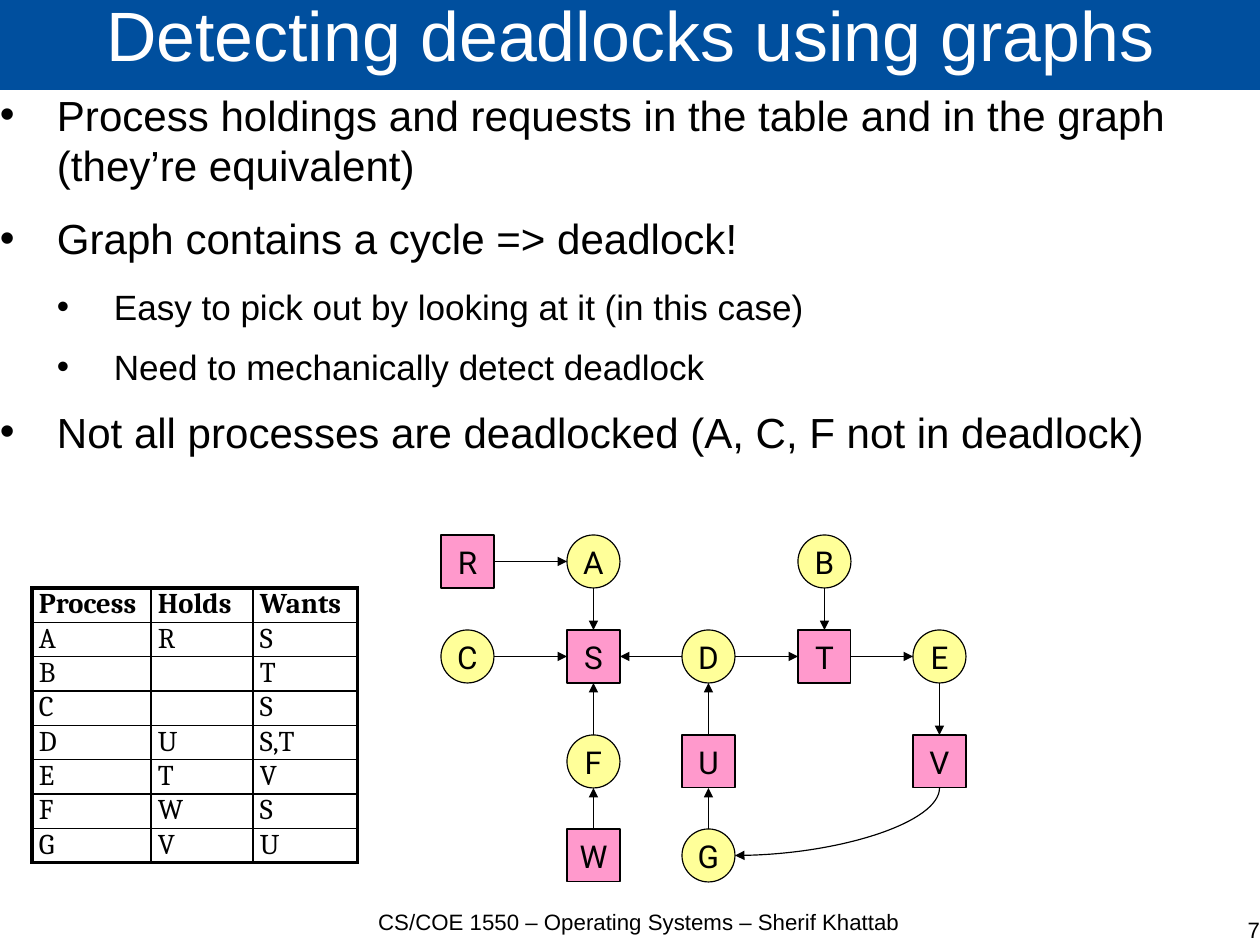
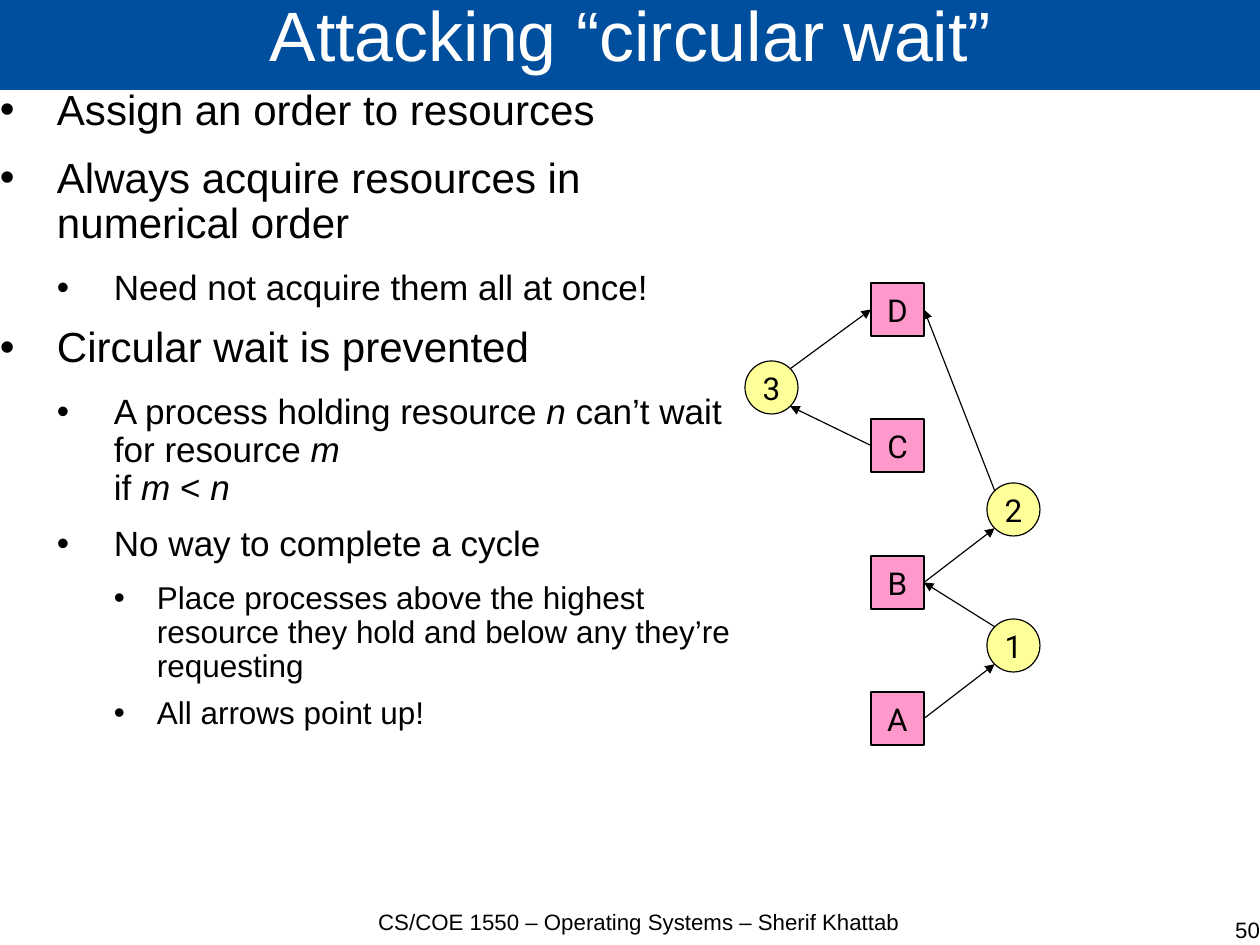
from math import sqrt

from lxml.etree import SubElement
from pptx import Presentation
from pptx.dml.color import RGBColor
from pptx.enum.shapes import MSO_CONNECTOR as CXN, MSO_SHAPE as SHAPE
from pptx.enum.text import MSO_ANCHOR as ANCHOR, MSO_AUTO_SIZE as AUTO, PP_ALIGN as ALIGN
from pptx.oxml.ns import qn
from pptx.util import Pt

# Shared look
PX = 8000  # EMU per px
BLUE = RGBColor(0x00, 0x4F, 0x9E)
WHITE = RGBColor(0xFF, 0xFF, 0xFF)
BLACK = RGBColor(0x00, 0x00, 0x00)
PINK = RGBColor(0xFF, 0x99, 0xCC)
YELLOW = RGBColor(0xFF, 0xFF, 0x99)
SANS, SERIF, NODE_FONT = "Arial", "Cambria", "Roboto"
TITLE_BOX = (0, -2, 1262, 92)
FOOTER_BOX = (351, 908, 576, 30)
NUMBER_BOX = (684, 916, 576, 29)
FOOTER = "CS/COE 1550 – Operating Systems – Sherif Khattab"

# Bullet levels: left margin px, hanging px, text pt, space after pt
LEVELS = [(57, 57, 26.5, 14.2), (114, 57, 22.1, 11.4), (157, 43, 19.8, 8.5)]

# Graph nodes: size, unit direction of each side, connection site of a rectangle
NODE = 53
SIDES = {"top": (0, -1), "left": (-1, 0), "bottom": (0, 1), "right": (1, 0),
         "top left": (-1, -1), "top right": (1, -1),
         "bottom left": (-1, 1), "bottom right": (1, 1)}
RECT_SITES = {"top": 0, "left": 1, "bottom": 2, "right": 3}
OVAL_SITES = {"top": 0, "left": 2, "bottom": 4, "right": 6}


def emu(*lengths):
    return [round(v * PX) for v in lengths]


def add_text(p, text, size, font=SANS, color=BLACK, bold=False, italic=False):
    r = p.add_run()
    r.text = text
    f = r.font
    f.name, f.size, f.bold, f.italic = font, Pt(size), bold, italic
    f.color.rgb = color


def clear_margins(tf):
    tf.margin_left = tf.margin_top = tf.margin_right = tf.margin_bottom = 0


def add_box(s, box):
    tf = s.shapes.add_textbox(*emu(*box)).text_frame
    tf.word_wrap = True
    clear_margins(tf)
    return tf


def add_title(s, box, text):
    sp = s.shapes.title
    sp.left, sp.top, sp.width, sp.height = emu(*box)
    sp.fill.solid()
    sp.fill.fore_color.rgb = BLUE
    tf = sp.text_frame
    tf.word_wrap, tf.auto_size = True, AUTO.NONE
    tf.vertical_anchor = ANCHOR.MIDDLE
    clear_margins(tf)
    p = tf.paragraphs[0]
    p.alignment, p.line_spacing = ALIGN.CENTER, 0.69
    add_text(p, text, 44, color=WHITE)


def add_footer(s, box, text, align):
    p = add_box(s, box).paragraphs[0]
    p.alignment = align
    add_text(p, text, 14)


def new_slide(prs, title, number):
    s = prs.slides.add_slide(prs.slide_layouts[5])
    add_title(s, TITLE_BOX, title)
    add_footer(s, FOOTER_BOX, FOOTER, ALIGN.CENTER)
    add_footer(s, NUMBER_BOX, str(number), ALIGN.RIGHT)
    return s


def add_bullets(s, box, items, spacing=1.0):
    """Items are (level, text); *stars* enclose italics, a newline breaks the line."""
    tf = add_box(s, box)
    for i, (level, text) in enumerate(items):
        p = tf.add_paragraph() if i else tf.paragraphs[0]
        margin, hang, size, after = LEVELS[level]
        p.level, p.line_spacing, p.space_after = level, spacing, Pt(after)
        pPr = p._p.get_or_add_pPr()
        pPr.set("marL", str(margin * PX))
        pPr.set("indent", str(-hang * PX))
        clr = SubElement(pPr, qn("a:buClr"))
        SubElement(clr, qn("a:srgbClr"), val=str(BLACK))
        SubElement(pPr, qn("a:buFont"), typeface=SANS)
        SubElement(pPr, qn("a:buChar"), char="•")
        for j, part in enumerate(text.split("*")):
            if part.startswith("\n"):
                p.add_line_break()
            if part.strip("\n"):
                add_text(p, part.strip("\n"), size, italic=j % 2 == 1)


def set_borders(cell, widths):
    tcPr = cell._tc.get_or_add_tcPr()
    for tag, width in zip(("a:lnL", "a:lnR", "a:lnT", "a:lnB"), widths):
        ln = SubElement(tcPr, qn(tag), w=str(Pt(width)))
        SubElement(SubElement(ln, qn("a:solidFill")), qn("a:srgbClr"), val=str(BLACK))


def add_table(s, box, col_widths, rows):
    """Plain grid with a thick outline and a bold first row."""
    n_rows, n_cols = len(rows), len(col_widths)
    tbl = s.shapes.add_table(n_rows, n_cols, *emu(*box)).table
    tbl.first_row = tbl.horz_banding = False
    for col, width in zip(tbl.columns, col_widths):
        col.width = width * PX
    for i, row in enumerate(rows):
        for j, text in enumerate(row):
            cell = tbl.cell(i, j)
            edges = (j == 0, j == n_cols - 1, i == 0, i == n_rows - 1)
            set_borders(cell, [2.25 if outer else 1 for outer in edges])
            cell.fill.background()
            cell.margin_left = cell.margin_right = 7 * PX
            cell.margin_top = cell.margin_bottom = 0
            if text:
                add_text(cell.text_frame.paragraphs[0], text, 18, SERIF, bold=i == 0)


def style_line(line):
    line.color.rgb = BLACK
    line.width = Pt(0.75)


def add_node(s, x, y, label, is_rect):
    kind = SHAPE.RECTANGLE if is_rect else SHAPE.OVAL
    sp = s.shapes.add_shape(kind, *emu(x, y, NODE, NODE))
    sp.shadow.inherit = False
    sp.fill.solid()
    sp.fill.fore_color.rgb = PINK if is_rect else YELLOW
    style_line(sp.line)
    tf = sp.text_frame
    tf.word_wrap, tf.vertical_anchor = False, ANCHOR.MIDDLE
    p = tf.paragraphs[0]
    p.alignment = ALIGN.CENTER
    add_text(p, label, 19.8, NODE_FONT)
    return sp


def is_rectangle(sp):
    return sp.auto_shape_type == SHAPE.RECTANGLE


def side_point(sp, side):
    dx, dy = SIDES[side]
    k = sqrt(0.5) if dx and dy and not is_rectangle(sp) else 1
    half = sp.width / 2
    return round(sp.left + half * (1 + k * dx)), round(sp.top + half * (1 + k * dy))


def style_arrow(c):
    style_line(c.line)
    SubElement(c.line._get_or_add_ln(), qn("a:tailEnd"), type="triangle")
    SubElement(c._element.spPr, qn("a:effectLst"))


def add_arrow(s, a, a_side, b, b_side):
    c = s.shapes.add_connector(CXN.STRAIGHT, *side_point(a, a_side), *side_point(b, b_side))
    if is_rectangle(a):
        c.begin_connect(a, RECT_SITES[a_side])
    if is_rectangle(b):
        c.end_connect(b, RECT_SITES[b_side])
    style_arrow(c)


def add_bend(s, a, a_side, b, b_side):
    """Quarter curve that leaves downwards and arrives leftwards."""
    (x1, y1), (x2, y2) = side_point(a, a_side), side_point(b, b_side)
    w, h = y2 - y1, x1 - x2  # size before the quarter turn
    left, top = (x1 + x2 - w) // 2, (y1 + y2 - h) // 2
    c = s.shapes.add_connector(CXN.CURVE, left, top, left + w, top + h)
    spPr = c._element.spPr
    spPr.find(qn("a:xfrm")).set("rot", str(90 * 60000))
    spPr.find(qn("a:prstGeom")).set("prst", "curvedConnector2")
    joints = c._element.find(qn("p:nvCxnSpPr")).find(qn("p:cNvCxnSpPr"))
    for tag, sp, side in (("a:stCxn", a, a_side), ("a:endCxn", b, b_side)):
        sites = RECT_SITES if is_rectangle(sp) else OVAL_SITES
        SubElement(joints, qn(tag), id=str(sp.shape_id), idx=str(sites[side]))
    style_arrow(c)


def add_graph(s, origin, nodes, resources, arrows):
    """Nodes map labels to offsets from the origin; resources are squares."""
    x0, y0 = origin
    placed = {label: add_node(s, x0 + x, y0 + y, label, label in resources)
              for label, (x, y) in nodes.items()}
    for a, a_side, b, b_side in arrows:
        add_arrow(s, placed[a], a_side, placed[b], b_side)
    return placed


def detecting_slide(prs):
    s = new_slide(prs, "Detecting deadlocks using graphs", 7)
    add_bullets(s, (0, 89, 1262, 820), [
        (0, "Process holdings and requests in the table and in the graph (they’re equivalent)"),
        (0, "Graph contains a cycle => deadlock!"),
        (1, "Easy to pick out by looking at it (in this case)"),
        (1, "Need to mechanically detect deadlock"),
        (0, "Not all processes are deadlocked (A, C, F not in deadlock)"),
    ])
    add_table(s, (32, 588, 326, 264), (119, 102, 105), [
        ("Process", "Holds", "Wants"),
        ("A", "R", "S"), ("B", "", "T"), ("C", "", "S"), ("D", "U", "S,T"),
        ("E", "T", "V"), ("F", "W", "S"), ("G", "V", "U"),
    ])
    # Resource graph on a grid, a dot marks a free place
    cols, rows = (0, 126, 241, 357, 472), (0, 95, 200, 294)
    grid = ("RA.B.", "CSDTE", ".FU.V", ".WG..")
    nodes = {label: (x, y) for y, line in zip(rows, grid)
             for x, label in zip(cols, line) if label != "."}
    rightward, leftward = ("right", "left"), ("left", "right")
    downward, upward = ("bottom", "top"), ("top", "bottom")
    directions = [(rightward, "RA CS DT TE"), (leftward, "DS"),
                  (downward, "AS BT EV"), (upward, "FS WF GU UD")]
    arrows = [(a, start, b, end) for (start, end), pairs in directions
              for a, b in pairs.split()]
    placed = add_graph(s, (441, 535), nodes, "RSTUVW", arrows)
    add_bend(s, placed["V"], "bottom", placed["G"], "right")


def attacking_slide(prs):
    s = new_slide(prs, "Attacking “circular wait”", 50)
    add_bullets(s, (0, 89, 767, 820), [
        (0, "Assign an order to resources"),
        (0, "Always acquire resources in numerical order"),
        (1, "Need not acquire them all at once!"),
        (0, "Circular wait is prevented"),
        (1, "A process holding resource *n* can’t wait for resource *m*\nif *m* < *n*"),
        (1, "No way to complete a cycle"),
        (2, "Place processes above the highest resource they hold "
            "and below any they’re requesting"),
        (2, "All arrows point up!"),
    ], spacing=0.9)
    # Ordered resources in one column, processes on both sides
    nodes = {"D": (126, 0), "C": (126, 136), "B": (126, 273), "A": (126, 409),
             "3": (0, 78), "2": (242, 200), "1": (242, 336)}
    add_graph(s, (745, 283), nodes, "ABCD", [
        ("A", "right", "1", "bottom left"), ("1", "top left", "B", "right"),
        ("B", "right", "2", "bottom left"), ("2", "top left", "D", "right"),
        ("3", "top right", "D", "left"), ("C", "left", "3", "bottom right"),
    ])


def main():
    prs = Presentation()
    prs.slide_width, prs.slide_height = emu(1260, 945)
    detecting_slide(prs)
    attacking_slide(prs)
    prs.save("out.pptx")


if __name__ == "__main__":
    main()
